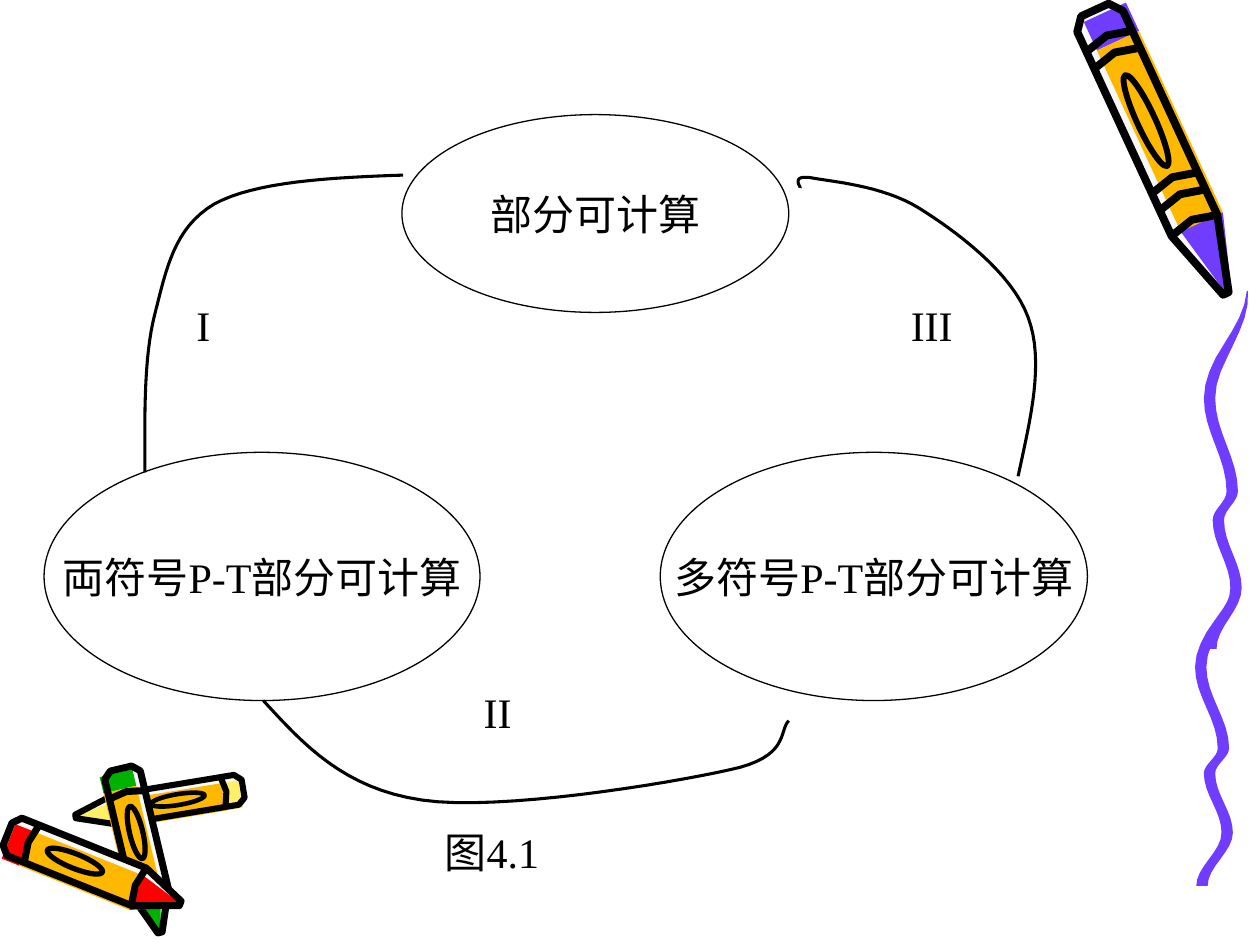
import math

import pptx
import pptx.dml.color
import pptx.enum.shapes
import pptx.enum.text
import pptx.util

INK, VIOLET, AMBER, PAPER = "000000", "703DFF", "FFB800", "F8F8F8"
RED, GREEN, LEMON = "FF0000", "00B200", "FFEF66"
FONT, TEXT_SIZE = "Times New Roman", 24

# Diagram: text, then left, top, width, height in inches
NODES = [
    ("部分可计算", 3.19, 0.91, 3.07, 1.57),
    ("両符号P-T部分可计算", 0.35, 3.59, 3.46, 1.97),
    ("多符号P-T部分可计算", 5.24, 3.59, 3.39, 1.97),
]
LABELS = [
    ("I", 1.46, 2.33, 0.94),
    ("II", 3.74, 5.4, 1.02),
    ("III", 7.13, 2.33, 0.71),
    ("图4.1", 3.43, 6.51, 1.18),
]
LABEL_HEIGHT = 0.5

# Each link is a chain of cubic curves: a start, then two controls and an end per curve
LINKS = {
    "I": [(3.2, 1.39),
          (2.62, 1.41), (2.03, 1.44), (1.7, 1.62),
          (1.38, 1.81), (1.32, 2.14), (1.23, 2.49),
          (1.14, 2.84), (1.15, 3.3), (1.15, 3.75)],
    "II": [(2.09, 5.56),
           (2.41, 5.91), (2.73, 6.26), (3.35, 6.35),
           (3.96, 6.44), (5.3, 6.22), (5.79, 6.11),
           (6.27, 6.01), (6.18, 5.8), (6.26, 5.72)],
    "III": [(8.08, 3.78),
            (8.18, 3.32), (8.29, 2.87), (8.16, 2.52),
            (8.03, 2.16), (7.58, 1.83), (7.29, 1.65),
            (7, 1.47), (6.58, 1.44), (6.43, 1.41),
            (6.27, 1.39), (6.36, 1.49), (6.35, 1.49)],
}
CURVE_STEPS = 16

# Crayons, back to front; lit is the side (+1 or -1) that shows the paper highlight
CRAYONS = [
    dict(wax=LEMON, back=(1.93, 6.26), tip=(0.6, 6.48), width=0.24, lit=1, bands=[0.12], pen=3.5),
    dict(wax=GREEN, back=(0.96, 6.1), tip=(1.27, 7.4), width=0.29, lit=-1, bands=[0.16], pen=4),
    dict(wax=RED, back=(0.06, 6.62), tip=(1.43, 7.17), width=0.32, lit=-1, bands=[0.14], pen=4),
    dict(wax=VIOLET, back=(8.69, 0.08), tip=(9.73, 2.33), width=0.4, lit=1,
         bands=[0.11, 0.17, 0.61, 0.67], pen=4.5),
]
# Shares of a crayon's length (along) and width (across, from -0.5 to 0.5)
CAP_END, SHOULDER, CHAMFER, POINT = 0.12, 0.76, 0.04, 0.06
COLOUR_SIDES = (-0.62, 0.3)
OVAL_CENTER, OVAL_LENGTH, OVAL_WIDTH = 0.39, 0.32, 0.36

# Squiggles: left shift, top, height; swings give the ribbon's centre at shares of the height
SQUIGGLES = [(-0.07, 4.55, 2.48), (0, 2.31, 2.84)]
SWINGS = [(0, 9.9), (0.3, 9.6), (0.56, 9.78), (0.64, 9.67), (0.83, 9.81), (1, 9.61)]
RIBBON_WIDTH, RIBBON_STEPS = 0.09, 8


def color(value):
    return pptx.dml.color.RGBColor.from_string(value)


def inches(*lengths):
    return [pptx.util.Inches(length) for length in lengths]


def style(item, fill=None, line=None, width=1):
    item.shadow.inherit = False
    if fill:
        item.fill.solid()
        item.fill.fore_color.rgb = color(fill)
    else:
        item.fill.background()
    if line:
        item.line.color.rgb = color(line)
        item.line.width = pptx.util.Pt(width)
    else:
        item.line.fill.background()


def outline(slide, points, closed=True, **look):
    start, *rest = [inches(*point) for point in points]
    builder = slide.shapes.build_freeform(*start)
    builder.add_line_segments(rest, close=closed)
    style(builder.convert_to_shape(), **look)


def add_oval(slide, box, **look):
    oval = slide.shapes.add_shape(pptx.enum.shapes.MSO_SHAPE.OVAL, *inches(*box))
    style(oval, **look)
    return oval


def write(item, text, align, wrap):
    item.text_frame.word_wrap = wrap
    paragraph = item.text_frame.paragraphs[0]
    paragraph.text = text
    paragraph.alignment = align
    paragraph.font.name = FONT
    paragraph.font.size = pptx.util.Pt(TEXT_SIZE)
    paragraph.font.color.rgb = color(INK)


def draw_crayon(slide, wax, back, tip, width, lit, bands, pen):
    run, drop = tip[0] - back[0], tip[1] - back[1]
    length = math.hypot(run, drop)

    def place(along, across):
        side = across * lit * width / length
        return back[0] + along * run - side * drop, back[1] + along * drop + side * run

    def places(*shares):
        return [place(*share) for share in shares]

    shell = places((0, -0.3), (0, 0.3), (CHAMFER, 0.5), (SHOULDER, 0.5), (1, POINT),
                   (1, -POINT), (SHOULDER, -0.5), (CHAMFER, -0.5))
    outline(slide, shell, fill=PAPER)

    # Coloured cap, wrapper and cone, leaving the lit edge as paper
    low, high = COLOUR_SIDES
    for fill, start, end in [(wax, 0.02, CAP_END), (AMBER, CAP_END, SHOULDER)]:
        outline(slide, places((start, low), (end, low), (end, high), (start, high)), fill=fill)
    outline(slide, places((SHOULDER, low), (1, -2 * POINT), (1, 0), (SHOULDER, high)), fill=wax)

    # Ink contour, bands across the wrapper and the oval label
    outline(slide, shell, line=INK, width=pen)
    for band in bands + [SHOULDER]:
        outline(slide, places((band, -0.5), (band - 0.02, 0), (band, 0.5)),
                closed=False, line=INK, width=pen)
    x, y = place(OVAL_CENTER, 0)
    oval_length, oval_width = OVAL_LENGTH * length, OVAL_WIDTH * width
    label = add_oval(slide, (x - oval_length / 2, y - oval_width / 2, oval_length, oval_width),
                     line=INK, width=pen * 0.75)
    label.rotation = math.degrees(math.atan2(drop, run))


def draw_squiggle(slide, shift, top, height):
    left_edge, right_edge = [], []
    for (start, x_start), (end, x_end) in zip(SWINGS, SWINGS[1:]):
        for step in range(RIBBON_STEPS + 1):
            t = step / RIBBON_STEPS
            share = start + (end - start) * t
            ease = (1 - math.cos(math.pi * t)) / 2
            x = shift + x_start + (x_end - x_start) * ease
            half = RIBBON_WIDTH / 2 * min(1, 0.1 + share * 5)
            left_edge.append((x - half, top + share * height))
            right_edge.append((x + half, top + share * height))
    outline(slide, left_edge + right_edge[::-1], fill=VIOLET)


def curve_points(knots):
    points = knots[:1]
    for i in range(0, len(knots) - 1, 3):
        for step in range(1, CURVE_STEPS + 1):
            t = step / CURVE_STEPS
            weights = ((1 - t) ** 3, 3 * t * (1 - t) ** 2, 3 * t * t * (1 - t), t ** 3)
            points.append([sum(w * knot[axis] for w, knot in zip(weights, knots[i:i + 4]))
                           for axis in (0, 1)])
    return points


def draw_diagram(slide):
    for text, *box in NODES:
        node = add_oval(slide, box, line=INK, width=0.75)
        node.text_frame.vertical_anchor = pptx.enum.text.MSO_ANCHOR.MIDDLE
        write(node, text, pptx.enum.text.PP_ALIGN.CENTER, False)
    for knots in LINKS.values():
        outline(slide, curve_points(knots), closed=False, line=INK, width=1.75)
    for text, *place in LABELS:
        label = slide.shapes.add_textbox(*inches(*place, LABEL_HEIGHT))
        write(label, text, pptx.enum.text.PP_ALIGN.LEFT, True)


def main():
    deck = pptx.Presentation()
    deck.slide_width, deck.slide_height = inches(10, 7.5)
    slide = deck.slides.add_slide(deck.slide_layouts[6])
    for crayon in CRAYONS:
        draw_crayon(slide, **crayon)
    for squiggle in SQUIGGLES:
        draw_squiggle(slide, *squiggle)
    draw_diagram(slide)
    deck.save("out.pptx")


if __name__ == "__main__":
    main()
